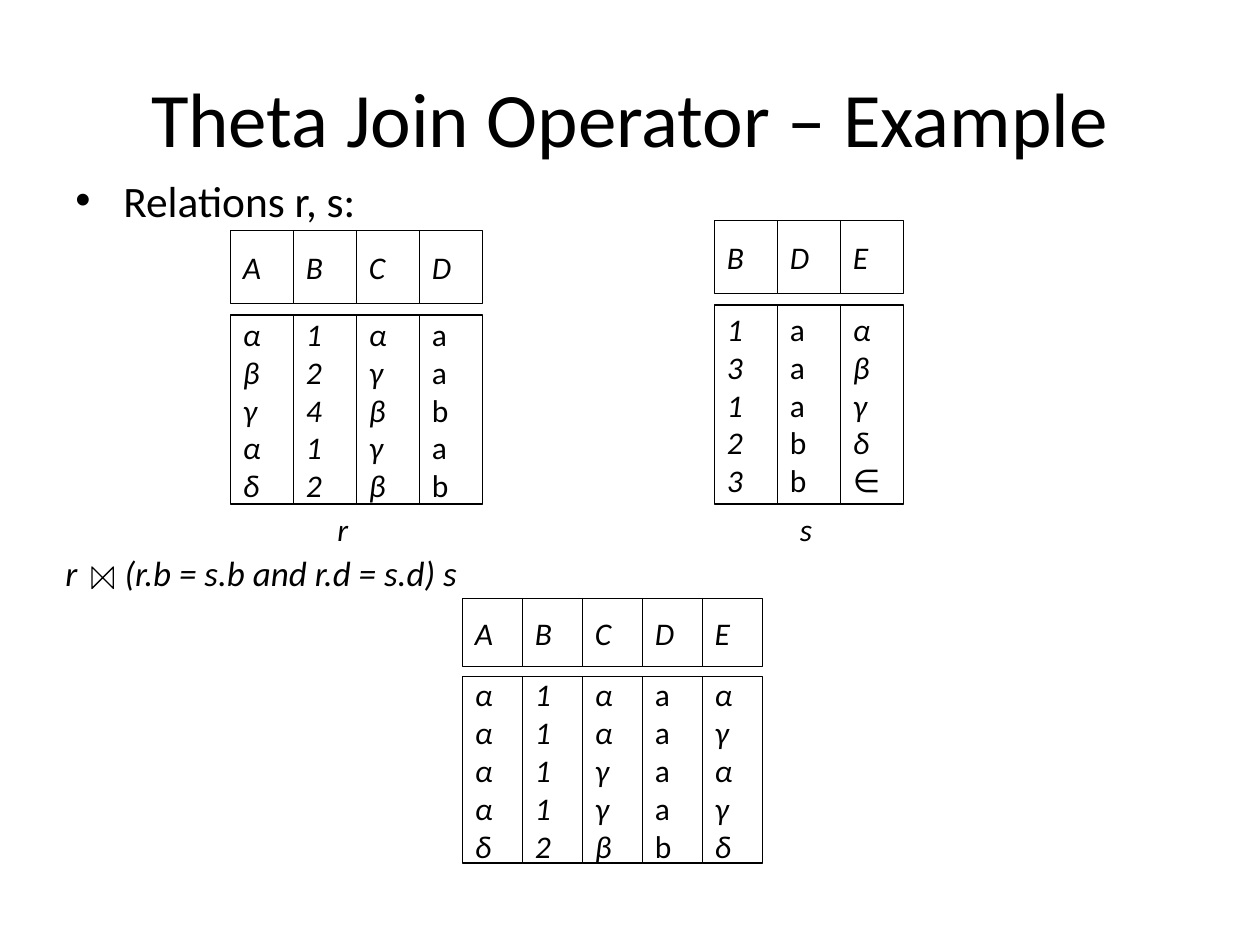
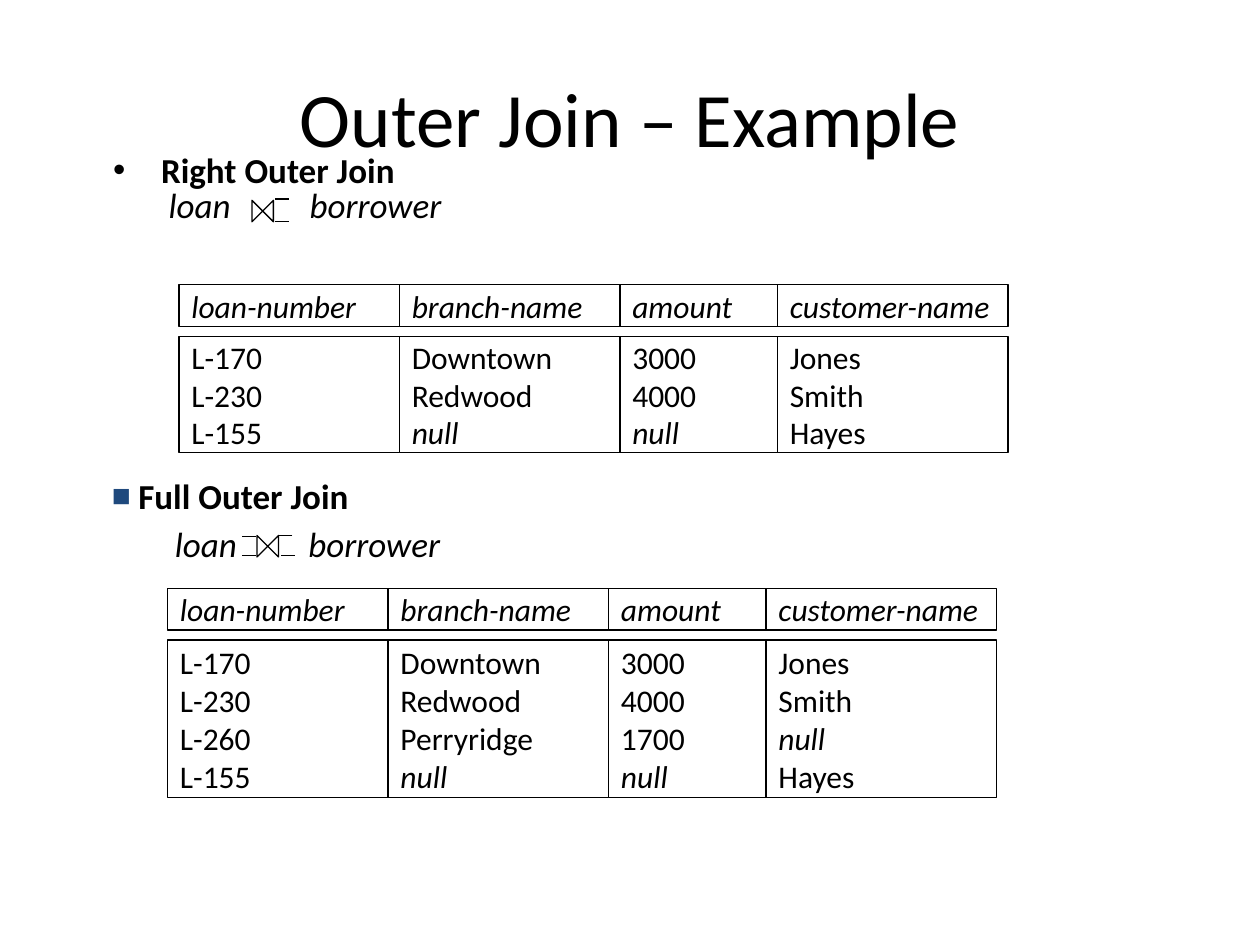
from lxml.etree import SubElement
from pptx import Presentation
from pptx.dml.color import RGBColor
from pptx.enum.shapes import MSO_CONNECTOR as Connector, MSO_SHAPE as Shape
from pptx.enum.text import MSO_ANCHOR as Anchor, PP_ALIGN as Align
from pptx.oxml.ns import qn
from pptx.util import Inches, Pt

BLACK = RGBColor(0x00, 0x00, 0x00)
WHITE = RGBColor(0xFF, 0xFF, 0xFF)
NAVY = RGBColor(0x1F, 0x49, 0x7D)
FONT = "Calibri"
LINE_WIDTH = Pt(0.75)


def write(box, text, size=18, bold=False, italic=False, align=Align.LEFT, anchor=Anchor.MIDDLE,
          bullet=None, bullet_color=BLACK, bullet_size=100, margin=0, indent=0):
    frame = box.text_frame
    frame.word_wrap = True
    frame.vertical_anchor = anchor
    for number, line in enumerate(text.split("\n")):
        para = frame.paragraphs[0] if number == 0 else frame.add_paragraph()
        para.alignment = align
        span = para.add_run()
        span.text = line
        span.font.name = FONT
        span.font.size = Pt(size)
        span.font.bold = bold
        span.font.italic = italic or line == "null"
        span.font.color.rgb = BLACK
        if bullet:
            layout = para._p.get_or_add_pPr()
            layout.set("marL", str(Inches(margin)))
            layout.set("indent", str(Inches(indent)))
            color = SubElement(layout, qn("a:buClr"))
            SubElement(color, qn("a:srgbClr"), val=str(bullet_color))
            SubElement(layout, qn("a:buSzPct"), val=str(bullet_size * 1000))
            SubElement(layout, qn("a:buFont"), typeface="Arial")
            SubElement(layout, qn("a:buChar"), char=bullet)


def add_outlined(page, kind, left, top, width, height):
    shape = page.shapes.add_shape(kind, Inches(left), Inches(top), Inches(width), Inches(height))
    shape.shadow.inherit = False
    shape.fill.solid()
    shape.fill.fore_color.rgb = WHITE
    shape.line.color.rgb = BLACK
    shape.line.width = LINE_WIDTH
    return shape


deck = Presentation()
deck.slide_width = Inches(10)
deck.slide_height = Inches(7.5)
theta_page, outer_page = [deck.slides.add_slide(deck.slide_layouts[6]) for _ in range(2)]

title = dict(size=44, align=Align.CENTER)
hanging = dict(anchor=Anchor.TOP, bullet="•", margin=0.38, indent=-0.38)
formula = dict(size=20, italic=True, anchor=Anchor.TOP)
square = dict(size=20, bold=True, anchor=Anchor.TOP, bullet="■", bullet_color=NAVY,
              bullet_size=90, margin=0.21, indent=-0.21)

texts = [
    (theta_page, "Theta Join Operator – Example", (0.5, 0.3, 9, 1.25), title),
    (theta_page, "Relations r, s:", (0.5, 1.33, 7.69, 0.45), dict(hanging, size=24.8)),
    (theta_page, "r", (2.58, 4, 0.28, 0.4), dict(italic=True)),
    (theta_page, "s", (6.25, 4, 0.33, 0.4), dict(italic=True)),
    (theta_page, "r", (0.42, 4.33, 0.35, 0.45), formula),
    (theta_page, "(r.b = s.b and r.d = s.d) s", (0.89, 4.33, 7.22, 0.45), formula),
    (outer_page, "Outer Join – Example", (0.5, 0.3, 9, 1.25), title),
    (outer_page, "Right Outer Join", (0.8, 1.13, 7.69, 0.36), dict(hanging, size=20, bold=True)),
    (outer_page, "loan", (1.24, 1.41, 0.8, 0.36), formula),
    (outer_page, "borrower", (2.36, 1.41, 2.4, 0.36), formula),
    (outer_page, "Full Outer Join", (0.79, 3.72, 2.42, 0.43), square),
    (outer_page, "loan", (1.29, 4.1, 0.8, 0.36), formula),
    (outer_page, "borrower", (2.35, 4.1, 2.4, 0.36), formula),
]
for page, text, place, style in texts:
    box = page.shapes.add_textbox(*[Inches(length) for length in place])
    write(box, text, **style)

loan_widths = [1.75, 1.75, 1.25, 1.83]
loan_names = ["loan-number", "branch-name", "amount", "customer-name"]
relations = [
    (theta_page, 1.83, 1.83, 0.58, 2.5, 1.5, [0.5] * 4, "ABCD",
     ["α1αa", "β2γa", "γ4βb", "α1γa", "δ2βb"]),
    (theta_page, 5.67, 1.75, 0.58, 2.42, 1.58, [0.5] * 3, "BDE",
     ["1aα", "3aβ", "1aγ", "2bδ", "3b∈"]),
    (theta_page, 3.67, 4.75, 0.54, 5.37, 1.48, [2.38 / 5] * 5, "ABCDE",
     ["α1αaα", "α1αaγ", "α1γaα", "α1γaγ", "δ2βbδ"]),
    (outer_page, 1.42, 2.26, 0.33, 2.67, 0.92, loan_widths, loan_names,
     [("L-170", "Downtown", "3000", "Jones"),
      ("L-230", "Redwood", "4000", "Smith"),
      ("L-155", "null", "null", "Hayes")]),
    (outer_page, 1.33, 4.67, 0.33, 5.08, 1.25, loan_widths, loan_names,
     [("L-170", "Downtown", "3000", "Jones"),
      ("L-230", "Redwood", "4000", "Smith"),
      ("L-260", "Perryridge", "1700", "null"),
      ("L-155", "null", "null", "Hayes")]),
]
for page, left, head_top, head_height, body_top, body_height, widths, names, rows in relations:
    for name, width, values in zip(names, widths, zip(*rows)):
        head = add_outlined(page, Shape.RECTANGLE, left, head_top, width, head_height)
        write(head, name, italic=True)
        body = add_outlined(page, Shape.RECTANGLE, left, body_top, width, body_height)
        write(body, "\n".join(values), italic=page is theta_page and name != "D")
        left += width

for page, left, top in [(theta_page, 0.73, 4.5), (outer_page, 2, 1.59), (outer_page, 2.04, 4.25)]:
    bow_tie = add_outlined(page, Shape.FLOWCHART_COLLATE, left, top, 0.17, 0.17)
    bow_tie.rotation = 270

for left, top in [(2.18, 1.58), (2.18, 1.76), (1.92, 4.26), (1.92, 4.41), (2.21, 4.25), (2.23, 4.41)]:
    bar = outer_page.shapes.add_connector(
        Connector.STRAIGHT, Inches(left + 0.11), Inches(top), Inches(left), Inches(top))
    bar.line.color.rgb = BLACK
    bar.line.width = LINE_WIDTH
    SubElement(bar._element.spPr, qn("a:effectLst"))

deck.save("out.pptx")
